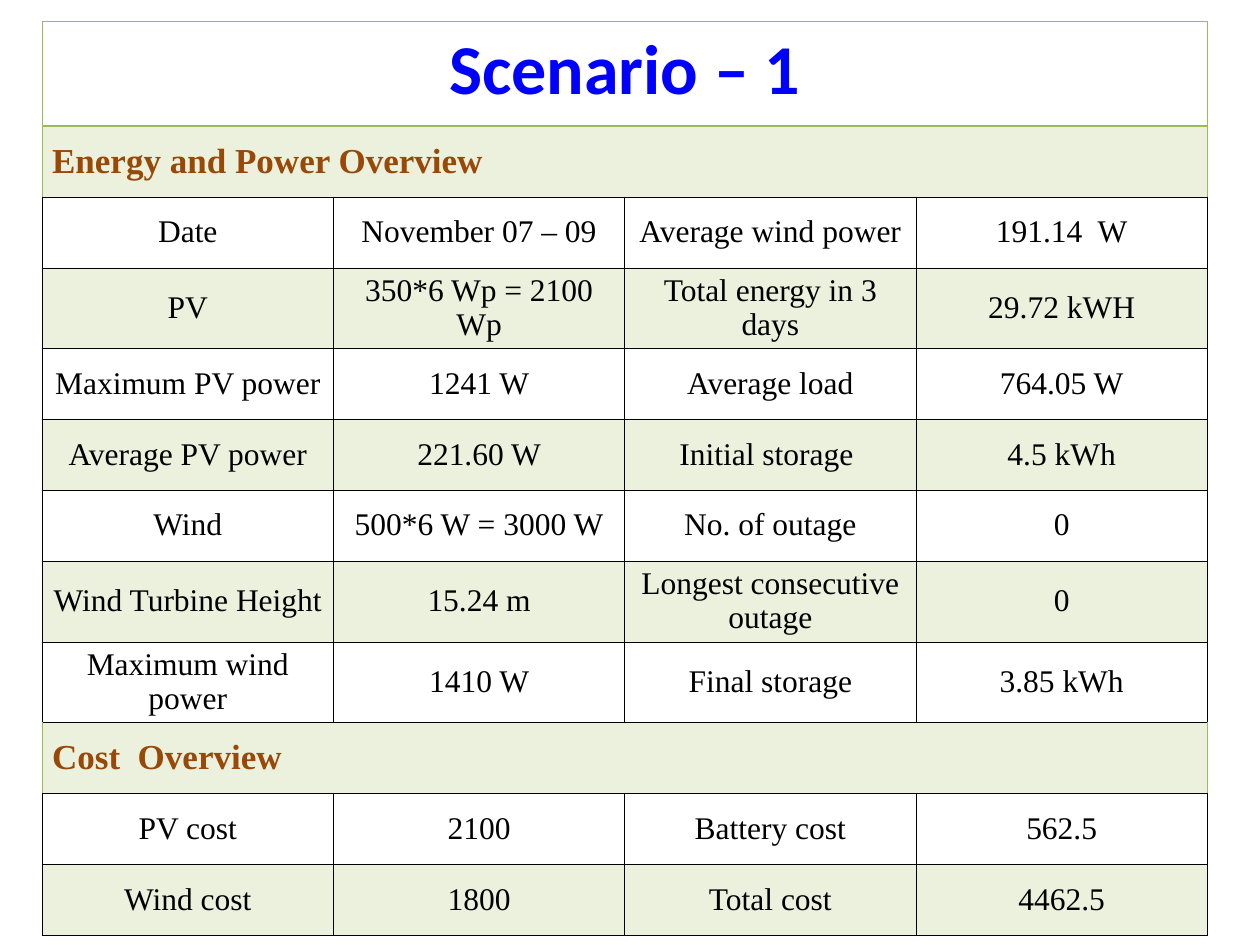
from dataclasses import dataclass

from lxml import etree
from pptx import Presentation
from pptx.dml.color import RGBColor
from pptx.enum import text
from pptx.oxml import ns
from pptx.util import Cm, Pt


@dataclass(frozen=True)
class Theme:
    blue: str = "0000FF"
    brown: str = "984807"
    black: str = "000000"
    green: str = "9BBB59"
    band_opacity: int = 20
    title_font: str = "Calibri"
    body_font: str = "Times New Roman"
    title_size: int = 40
    section_size: int = 20
    body_size: int = 18
    thin: float = 0.45
    thick: float = 0.96


THEME = Theme()
COLUMNS = 4
TITLE_HEIGHT, ROW_HEIGHT, TALL_HEIGHT = 2.11, 1.43, 1.52
TALL_ROWS = (3, 7, 8)

# A row with a single entry spans the whole table.
ROWS = [
    ["Scenario – 1"],
    ["Energy and Power Overview"],
    ["Date", "November 07 – 09", "Average wind power", "191.14  W"],
    ["PV", "350*6 Wp = 2100 Wp", "Total energy in 3 days", "29.72 kWH"],
    ["Maximum PV power", "1241 W", "Average load", "764.05 W"],
    ["Average PV power", "221.60 W", "Initial storage ", "4.5 kWh"],
    ["Wind", "500*6 W = 3000 W", "No. of outage", "0"],
    ["Wind Turbine Height", "15.24 m", "Longest consecutive outage", "0"],
    ["Maximum wind power", "1410 W", "Final storage", "3.85 kWh"],
    ["Cost  Overview"],
    ["PV cost", "2100", "Battery cost", "562.5"],
    ["Wind cost", "1800", "Total cost", "4462.5"],
]


def set_borders(cell, edges):
    """Draw the edges, given as {side: (colour, width)} in the order L, R, T, B."""
    props = cell._tc.get_or_add_tcPr()
    for side, (color, width) in edges.items():
        line = etree.SubElement(props, ns.qn(f"a:ln{side}"), w=str(Pt(width)))
        fill = etree.SubElement(line, ns.qn("a:solidFill"))
        etree.SubElement(fill, ns.qn("a:srgbClr"), val=color)


def row_edges(index):
    """Black grid for data rows; green outline where a spanning row is exposed."""
    grid = (THEME.black, THEME.thin)
    outline = (THEME.green, THEME.thin)
    divider = (THEME.green, THEME.thick)
    side = outline if len(ROWS[index]) == 1 else grid
    top = {0: outline, 1: divider}.get(index, grid)
    bottom = divider if index == 0 else grid
    return {"L": side, "R": side, "T": top, "B": bottom}


def shade(cell, banded):
    if not banded:
        cell.fill.background()
        return
    cell.fill.solid()
    cell.fill.fore_color.rgb = RGBColor.from_string(THEME.green)
    color = cell._tc.tcPr.find(f"{ns.qn('a:solidFill')}/{ns.qn('a:srgbClr')}")
    etree.SubElement(color, ns.qn("a:alpha"), val=str(THEME.band_opacity * 1000))


def write(cell, words, size, color, font, bold, align):
    para = cell.text_frame.paragraphs[0]
    para.alignment = align
    span = para.add_run()
    span.text = words
    span.font.size = Pt(size)
    span.font.name = font
    span.font.bold = bold
    span.font.color.rgb = RGBColor.from_string(color)
    return para


def fill_title(cell, words):
    cell.margin_left = cell.margin_right = Cm(0.25)
    cell.vertical_anchor = text.MSO_ANCHOR.TOP
    write(cell, words, THEME.title_size, THEME.blue, THEME.title_font, True,
          text.PP_ALIGN.CENTER)


def fill_section(cell, words):
    write(cell, words, THEME.section_size, THEME.brown, THEME.body_font, True,
          text.PP_ALIGN.LEFT)


def fill_value(cell, words):
    para = write(cell, words, THEME.body_size, THEME.black, THEME.body_font, False,
                 text.PP_ALIGN.CENTER)
    para.line_spacing = 0.97


def add_scenario_table(page, left, top, width):
    heights = [TITLE_HEIGHT] + [
        TALL_HEIGHT if index in TALL_ROWS else ROW_HEIGHT
        for index in range(1, len(ROWS))
    ]
    table = page.shapes.add_table(len(ROWS), COLUMNS, Cm(left), Cm(top),
                                  Cm(width), Cm(sum(heights))).table
    table.first_row = table.horz_banding = False
    for column in table.columns:
        column.width = Cm(width / COLUMNS)

    for index, (entries, height) in enumerate(zip(ROWS, heights)):
        table.rows[index].height = Cm(height)
        cells = [table.cell(index, column) for column in range(COLUMNS)]
        for cell in cells:
            cell.margin_left = cell.margin_right = Cm(0.2)
            cell.margin_top = cell.margin_bottom = Cm(0.13)
            cell.vertical_anchor = text.MSO_ANCHOR.MIDDLE
            set_borders(cell, row_edges(index))
            shade(cell, banded=index % 2 == 1)
        if len(entries) == 1:
            cells[0].merge(cells[-1])
            fill = fill_section if index else fill_title
        else:
            fill = fill_value
        for cell, words in zip(cells, entries):
            fill(cell, words)


def main():
    deck = Presentation()
    deck.slide_width, deck.slide_height = Cm(25.4), Cm(19.05)
    page = deck.slides.add_slide(deck.slide_layouts[6])
    add_scenario_table(page, left=0.85, top=0.43, width=23.49)
    deck.save("out.pptx")


if __name__ == "__main__":
    main()
